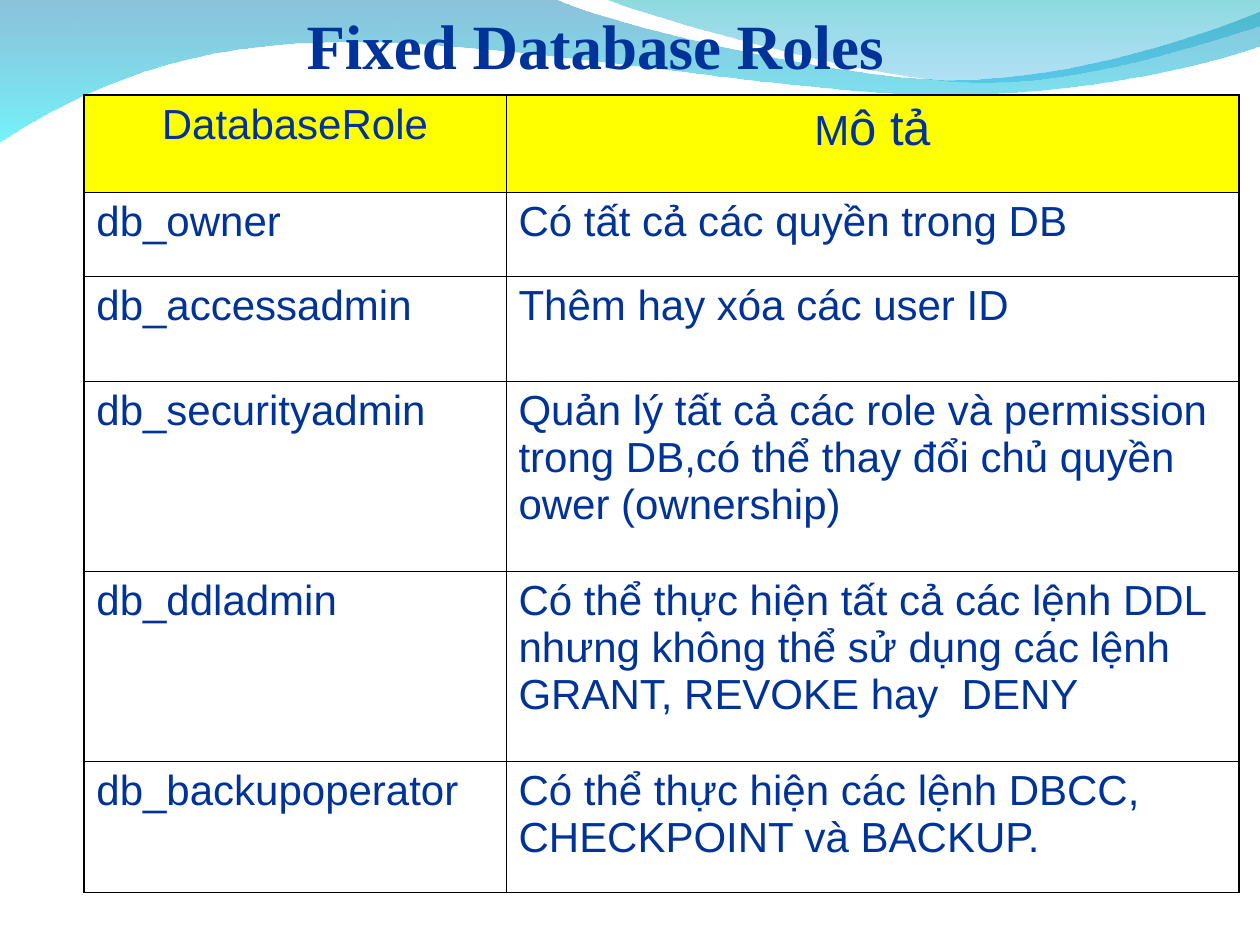
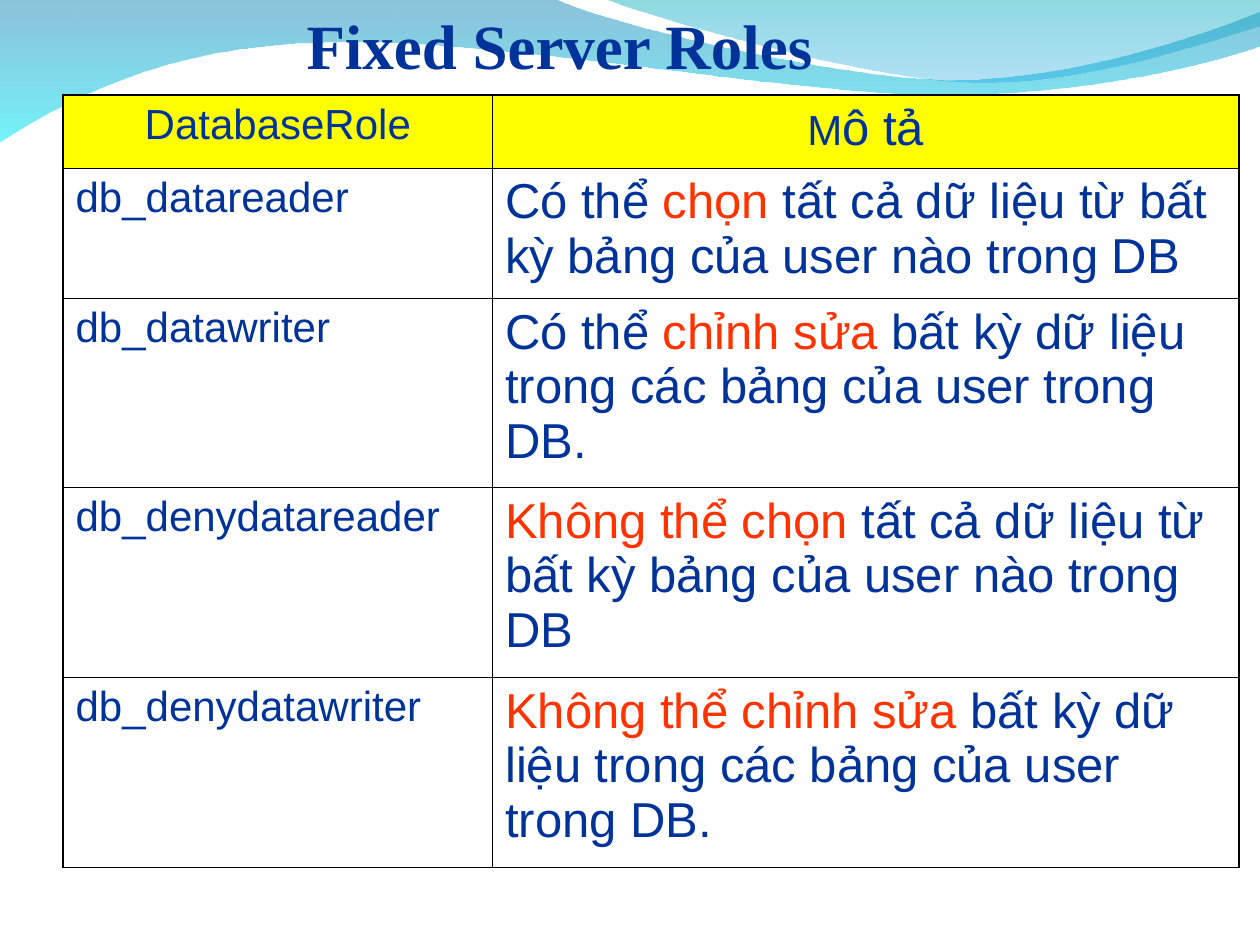
from dataclasses import dataclass

import pptx
import pptx.dml.color
import pptx.enum.text
import pptx.oxml
import pptx.oxml.ns
import pptx.util
from pptx.util import Cm

NAVY = "003399"
RED = "FF3300"
YELLOW = "FFFF00"
BLACK = "000000"
BODY_FONT = "Arial"
TITLE_FONT = "Times New Roman"
OUTER_BORDER, INNER_BORDER = 1.08, 0.45

Point = tuple[float, float]


@dataclass(frozen=True)
class Run:
    text: str
    size: int = 24
    color: str = NAVY
    font: str = BODY_FONT
    bold: bool = False


@dataclass(frozen=True)
class Role:
    name: str
    description: list[Run]
    height: float


@dataclass(frozen=True)
class RoleSlide:
    title: str
    title_width: float
    table_left: float
    column_widths: tuple[float, float]
    header_height: float
    roles: list[Role]


@dataclass(frozen=True)
class Wave:
    """Outline in cm; a segment of one point is a line, of three a Bézier curve."""
    start: Point
    segments: list[tuple[Point, ...]]
    stops: tuple[tuple[str, int], tuple[str, int]]  # colour, opacity in percent


WAVES = [
    Wave((0, -0.03), [
        ((11.18, -0.03),),
        ((12.09, 0.43), (16.87, 1.6), (19.25, 1.6)),
        ((21.67, 1.6), (24.33, 0.66), (25.4, 0.23)),
        ((25.43, 0.91),),
        ((24.97, 1.12), (22.1, 1.93), (18.95, 1.91)),
        ((15.8, 1.91), (9.7, 0.71), (6.53, 0.86)),
        ((3.28, 0.89), (1.17, 2.11), (-0.03, 2.87)),
        ((0, -0.03),),
    ], (("0079AF", 45), ("00EBF8", 55))),
    Wave((12.17, -0.03), [
        ((12.93, 0.28), (17.32, 1.57), (19.53, 1.65)),
        ((21.74, 1.75), (24.41, 0.81), (25.4, 0.53)),
        ((25.4, 0),),
        ((12.17, -0.03),),
    ], (("00ADB6", 45), ("009BE5", 30))),
]

HEADER = ([Run("DatabaseRole")], [Run("M"), Run("ô tả", 28)])

READ_SCOPE = " tất cả dữ liệu từ bất kỳ bảng của user nào trong DB"
WRITE_SCOPE = " bất kỳ dữ liệu trong các bảng của user trong DB."

SLIDES = [
    RoleSlide("Fixed Database Roles", 12.14, 1.69, (8.51, 14.78), 1.97, [
        Role("db_owner", [Run("Có tất cả các quyền trong DB")], 1.69),
        Role("db_accessadmin", [Run("Thêm hay xóa các user ID")], 2.12),
        Role("db_securityadmin", [Run(
            "Quản lý tất cả các role và permission trong DB,"
            "có thể thay đổi chủ quyền ower (ownership)")], 3.83),
        Role("db_ddladmin", [Run(
            "Có thể thực hiện tất cả các lệnh DDL nhưng không thể "
            "sử dụng các lệnh GRANT, REVOKE hay  DENY")], 3.83),
        Role("db_backupoperator", [Run(
            "Có thể thực hiện các lệnh DBCC, CHECKPOINT và BACKUP.")], 2.64),
    ]),
    RoleSlide("Fixed Server Roles", 10.72, 1.27, (8.66, 15.04), 1.48, [
        Role("db_datareader", [
            Run("Có thể ", 28), Run("chọn", 28, RED), Run(READ_SCOPE, 28)], 2.62),
        Role("db_datawriter", [
            Run("Có thể ", 28), Run("chỉnh sửa", 28, RED), Run(WRITE_SCOPE, 28)], 3.81),
        Role("db_denydatareader", [
            Run("Không thể chọn", 28, RED), Run(READ_SCOPE, 28)], 3.83),
        Role("db_denydatawriter", [
            Run("Không thể chỉnh sửa", 28, RED), Run(WRITE_SCOPE, 28)], 3.83),
    ]),
]


def rgb(color: str) -> pptx.dml.color.RGBColor:
    return pptx.dml.color.RGBColor.from_string(color)


def add_runs(paragraph, runs: list[Run]) -> None:
    for run in runs:
        piece = paragraph.add_run()
        piece.text = run.text
        piece.font.size = pptx.util.Pt(run.size)
        piece.font.name = run.font
        piece.font.bold = run.bold
        piece.font.color.rgb = rgb(run.color)


def bend_segments(shape, segments: list[tuple[Point, ...]]) -> None:
    """Join the lines through each segment's control points into one curve."""
    lines = iter(list(shape._element.spPr.iter(pptx.oxml.ns.qn("a:lnTo"))))
    for segment in segments:
        group = [next(lines) for _ in segment]
        if len(group) == 1:
            continue
        curve = pptx.oxml.parse_xml(f'<a:cubicBezTo {pptx.oxml.ns.nsdecls("a")}/>')
        group[0].addprevious(curve)
        for line in group:
            curve.append(line[0])
            line.getparent().remove(line)


def add_wave(slide, wave: Wave):
    builder = slide.shapes.build_freeform(*map(Cm, wave.start))
    builder.add_line_segments(
        [(Cm(x), Cm(y)) for segment in wave.segments for x, y in segment], close=True)
    shape = builder.convert_to_shape()
    bend_segments(shape, wave.segments)
    shape.shadow.inherit = False
    shape.line.fill.background()
    shape.fill.gradient()
    shape.fill.gradient_angle = 270
    for stop, position, (color, _) in zip(shape.fill.gradient_stops, (0, 1), wave.stops):
        stop.position = position
        stop.color.rgb = rgb(color)
    colors = shape._element.spPr.iter(pptx.oxml.ns.qn("a:srgbClr"))
    for color_xml, (_, opacity) in zip(colors, wave.stops):
        color_xml.append(pptx.oxml.parse_xml(
            f'<a:alpha {pptx.oxml.ns.nsdecls("a")} val="{opacity * 1000}"/>'))
    return shape


def add_waves_to_master(deck, slide) -> None:
    """Build the waves on a slide, then move them to the master all slides share."""
    for wave in WAVES:
        deck.slide_master.shapes._spTree.append(add_wave(slide, wave)._element)


def add_title(slide, title: str, width: float) -> None:
    box = slide.shapes.add_textbox(Cm(5.93), Cm(0), Cm(width), Cm(1.78))
    box.text_frame.word_wrap = False
    box.text_frame.auto_size = pptx.enum.text.MSO_AUTO_SIZE.SHAPE_TO_FIT_TEXT
    add_runs(box.text_frame.paragraphs[0], [Run(title, 36, font=TITLE_FONT, bold=True)])


def set_borders(cell, outer_sides: dict[str, bool]) -> None:
    """Draw all four sides, thicker where a side lies on the table's edge."""
    properties = cell._tc.get_or_add_tcPr()
    for side, is_outer in outer_sides.items():
        width = pptx.util.Pt(OUTER_BORDER if is_outer else INNER_BORDER)
        properties.append(pptx.oxml.parse_xml(
            f'<a:{side} {pptx.oxml.ns.nsdecls("a")} w="{width}"><a:solidFill>'
            f'<a:srgbClr val="{BLACK}"/></a:solidFill></a:{side}>'))


def add_role_table(slide, content: RoleSlide) -> None:
    rows = [HEADER] + [([Run(role.name)], role.description) for role in content.roles]
    heights = [content.header_height] + [role.height for role in content.roles]
    table = slide.shapes.add_table(
        len(rows), len(HEADER), Cm(content.table_left), Cm(1.91),
        Cm(sum(content.column_widths)), Cm(sum(heights))).table
    table.first_row = table.horz_banding = False
    for column, width in zip(table.columns, content.column_widths):
        column.width = Cm(width)
    for r, (texts, height) in enumerate(zip(rows, heights)):
        table.rows[r].height = Cm(height)
        for c, runs in enumerate(texts):
            cell = table.cell(r, c)
            set_borders(cell, {"lnL": c == 0, "lnR": c == len(texts) - 1,
                               "lnT": r == 0, "lnB": r == len(rows) - 1})
            paragraph = cell.text_frame.paragraphs[0]
            paragraph.space_before = pptx.util.Pt(max(run.size for run in runs) / 4)
            add_runs(paragraph, runs)
            if r == 0:
                paragraph.alignment = pptx.enum.text.PP_ALIGN.CENTER
                cell.fill.solid()
                cell.fill.fore_color.rgb = rgb(YELLOW)
            else:
                cell.fill.background()


def main() -> None:
    deck = pptx.Presentation()
    deck.slide_width, deck.slide_height = Cm(25.4), Cm(19.05)
    for content in SLIDES:
        slide = deck.slides.add_slide(deck.slide_layouts[6])
        add_role_table(slide, content)
        add_title(slide, content.title, content.title_width)
    add_waves_to_master(deck, deck.slides[0])
    deck.save("out.pptx")


if __name__ == "__main__":
    main()
